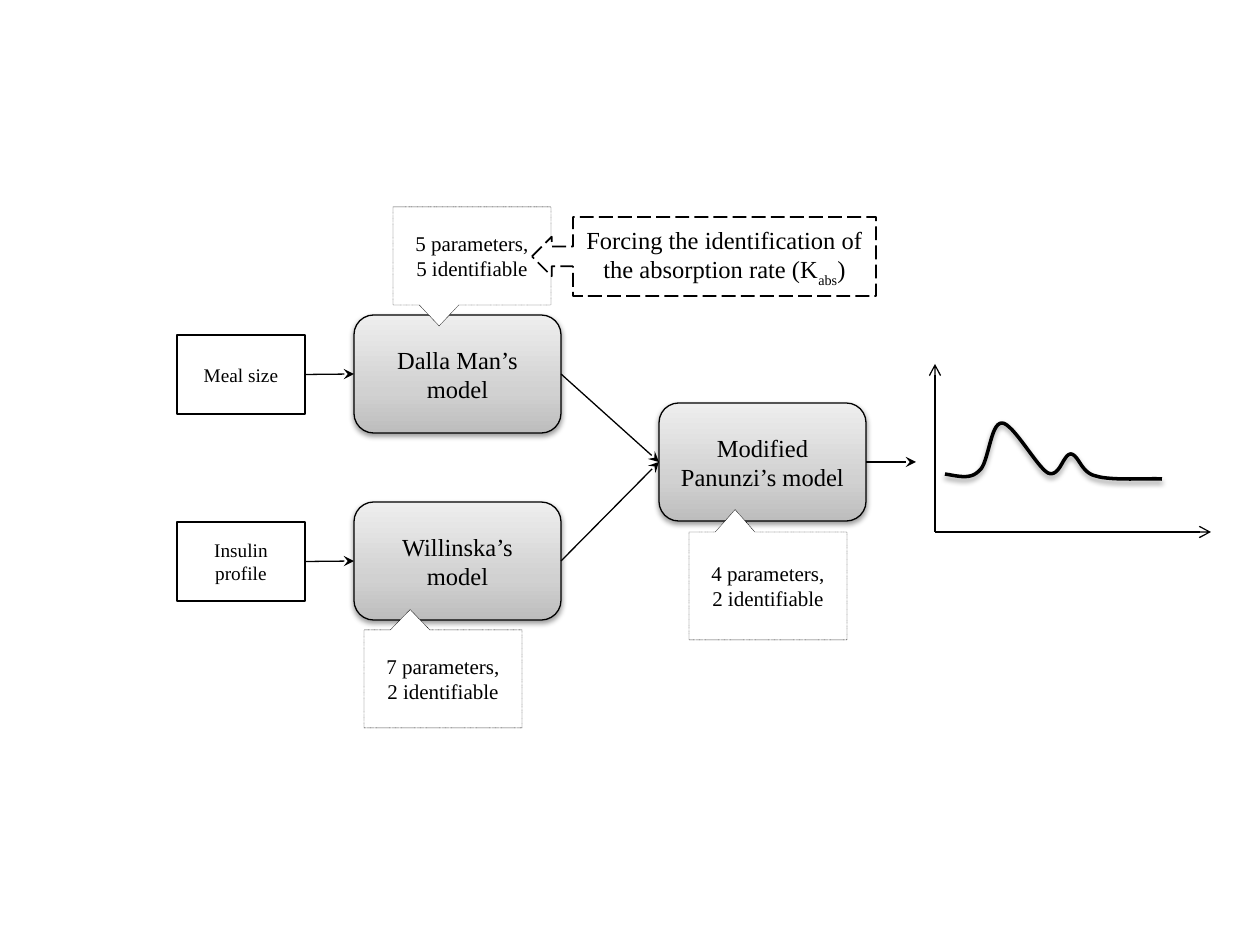
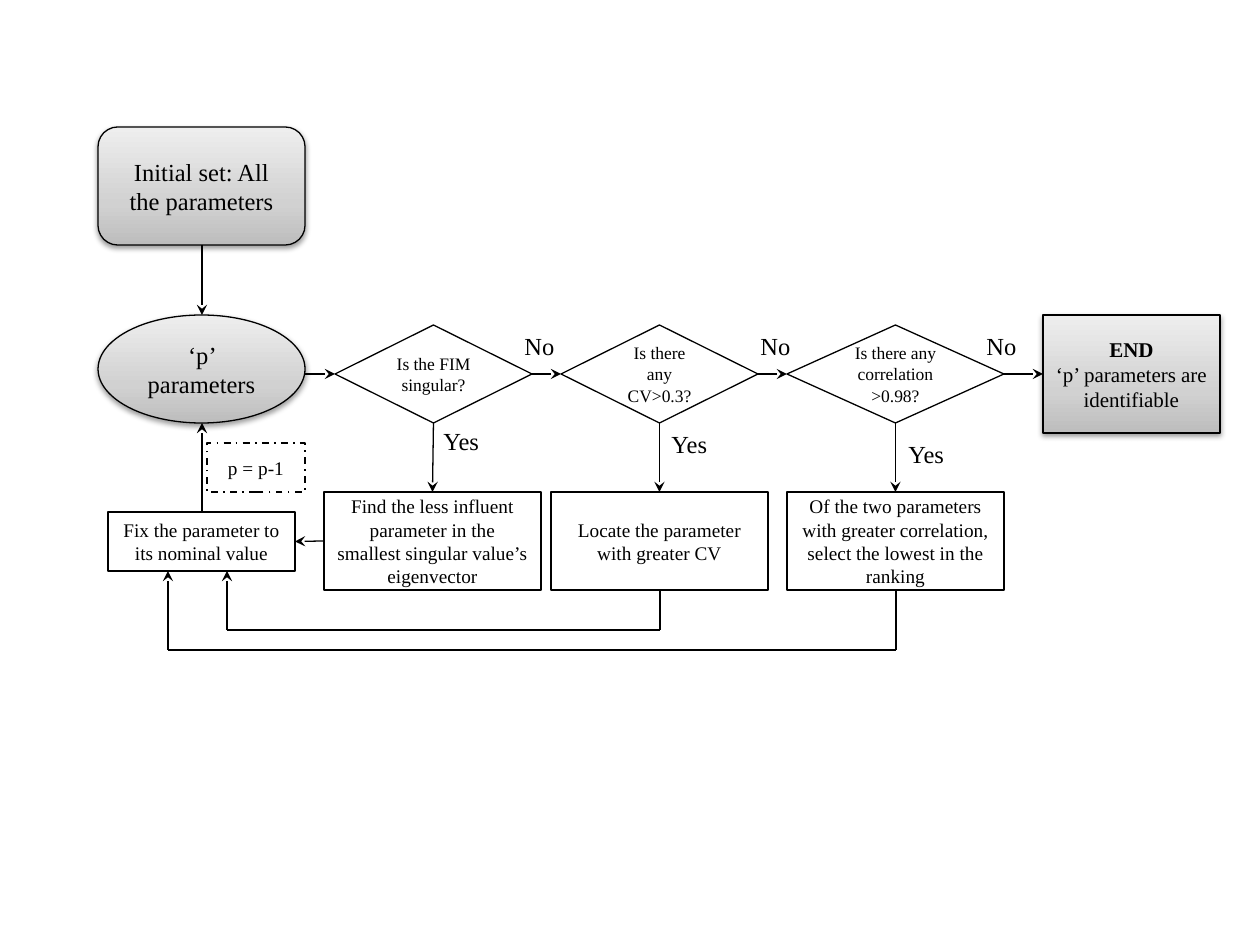
import pptx
import pptx.util
import pptx.dml.color
import pptx.enum.dml
import pptx.enum.shapes
import pptx.enum.text
import pptx.oxml.ns
from dataclasses import dataclass
from itertools import pairwise
from lxml import etree

SHAPE = pptx.enum.shapes.MSO_SHAPE
DASH = pptx.enum.dml.MSO_LINE
ALIGN = pptx.enum.text.PP_ALIGN
qn = pptx.oxml.ns.qn
PX_PER_INCH = 126
TOP, LEFT, BOTTOM, RIGHT = range(4)  # connection sites


@dataclass(frozen=True)
class Theme:
    """Colours, type sizes and line widths of both slides."""
    font: str = "Times New Roman"
    ink: str = "000000"
    paper: str = "FFFFFF"
    gradient: tuple = ((0, "BDBDBD"), (35, "D1D1D1"), (100, "EEEEEE"))
    large: int = 14
    medium: int = 12
    small: int = 11
    tiny: int = 10
    line: float = 0.75
    hairline: float = 0.25
    dashed: float = 1
    curve: float = 2


T = Theme()

# kind: preset shape, text size, shaded, line width, dash
KINDS = {
    "model": (SHAPE.ROUNDED_RECTANGLE, T.large, True, T.line, None),
    "state": (SHAPE.OVAL, T.large, True, T.line, None),
    "end": (SHAPE.RECTANGLE, T.medium, True, T.line, None),
    "step": (SHAPE.RECTANGLE, T.small, False, T.line, None),
    "test": (SHAPE.FLOWCHART_DECISION, T.tiny, False, T.line, None),
    "count": (SHAPE.RECTANGULAR_CALLOUT, T.medium, False, T.hairline, DASH.ROUND_DOT),
    "force": (SHAPE.LEFT_ARROW_CALLOUT, T.large, False, T.dashed, DASH.LONG_DASH),
    "update": (SHAPE.RECTANGLE, T.small, False, T.dashed, DASH.DASH_DOT),
}

# name: kind, (left, top, width, height), paragraphs
MODELS = {
    "meal": ("step", (177, 335, 128, 79), ["Meal size"]),
    "insulin": ("step", (177, 522, 128, 79), ["Insulin profile"]),
    "meal model": ("model", (354, 315, 207, 118), ["Dalla Man’s model"]),
    "insulin model": ("model", (354, 502, 207, 118), ["Willinska’s model"]),
    "glucose model": ("model", (659, 403, 207, 118), ["Modified Panunzi’s model"]),
}
MODEL_LINKS = [
    ("meal", RIGHT, "meal model", LEFT),
    ("insulin", RIGHT, "insulin model", LEFT),
    ("meal model", RIGHT, "glucose model", LEFT),
    ("insulin model", RIGHT, "glucose model", LEFT),
]
# kind, box, paragraphs, adjustments
CALLOUTS = [
    ("count", (393, 207, 158, 98), ["5 parameters,", "5 identifiable"], (-0.208, 0.714)),
    ("count", (364, 630, 158, 98), ["7 parameters,", "2 identifiable"], (-0.208, -0.708)),
    ("count", (689, 532, 158, 108), ["4 parameters,", "2 identifiable"], (-0.208, -0.708)),
    ("force", (532, 217, 344, 79),
     [[("Forcing the identification of the absorption rate (K", ""),
       ("abs", "sub"), (")", "")]], (0.25, 0.25, 0.25, 0.881)),
]
OUTPUT_ARROW = [(866, 462), (916, 462)]
AXES = [[(935, 532), (1211, 532)], [(935, 532), (935, 364)]]
GLUCOSE_START = (945, 474)
GLUCOSE_CURVE = [  # two control points and an end point each
    ((958, 476), (970, 480), (979, 471)),
    ((989, 464), (990, 423), (1002, 423)),
    ((1013, 423), (1037, 467), (1048, 473)),
    ((1060, 478), (1063, 454), (1071, 454)),
    ((1079, 455), (1081, 473), (1096, 476)),
    ((1111, 481), (1150, 478), (1162, 479)),
]

FLOW = {
    "initial": ("model", (98, 127, 207, 118), ["Initial set: All the parameters"]),
    "current": ("state", (98, 315, 207, 108), ["‘p’ parameters"]),
    "singular": ("test", (335, 325, 197, 98), ["Is the FIM singular?"]),
    "variation": ("test", (561, 325, 197, 98), ["Is there any CV>0.3?"]),
    "correlated": ("test", (787, 325, 217, 98), ["Is there any correlation>0.98?"]),
    "end": ("end", (1043, 315, 177, 118),
            [[("END", "bold")], "‘p’ parameters are identifiable"]),
    "find": ("step", (324, 492, 217, 98),
             ["Find the less influent parameter in the smallest singular value’s eigenvector"]),
    "locate": ("step", (551, 492, 217, 98), ["Locate the parameter with greater CV"]),
    "select": ("step", (787, 492, 217, 98),
               ["Of the two parameters with greater correlation, select the lowest in the ranking"]),
    "fix": ("step", (108, 512, 187, 59), ["Fix the parameter to its nominal value"]),
    "update": ("update", (207, 443, 98, 49), ["p = p-1"]),
}
FLOW_LINKS = [
    ("singular", RIGHT, "variation", LEFT),
    ("variation", RIGHT, "correlated", LEFT),
    ("correlated", RIGHT, "end", LEFT),
    ("singular", BOTTOM, "find", TOP),
    ("variation", BOTTOM, "locate", TOP),
    ("correlated", BOTTOM, "select", TOP),
    ("find", LEFT, "fix", RIGHT),
]
FLOW_ROUTES = [
    [(202, 245), (202, 315)],
    [(305, 374), (335, 374)],
    [(202, 512), (202, 423)],
    [(660, 590), (660, 630), (227, 630), (227, 571)],
    [(896, 590), (896, 650), (168, 650), (168, 571)],
]
ANSWERS = [
    ("No", (512, 325, 55, 43)), ("No", (748, 325, 55, 43)), ("No", (974, 325, 55, 43)),
    ("Yes", (431, 420, 62, 43)), ("Yes", (659, 423, 62, 43)), ("Yes", (896, 433, 62, 43)),
]


def px(*values):
    """Turn pixels into a list of EMU lengths."""
    return [pptx.util.Emu(round(v * 914400 / PX_PER_INCH)) for v in values]


def rgb(value):
    """Return a colour object for a hex string."""
    return pptx.dml.color.RGBColor.from_string(value)


def add_colour(parent, value):
    """Add an RGB colour element and return it."""
    return etree.SubElement(parent, qn("a:srgbClr"), val=value)


def style_line(sp, width, dash=None):
    """Draw the outline in ink."""
    sp.line.color.rgb = rgb(T.ink)
    sp.line.width = pptx.util.Pt(width)
    if dash:
        sp.line.dash_style = dash


def add_shadow(sp):
    """Give a shape the soft shadow below it."""
    effects = sp._element.spPr.find(qn("a:effectLst"))
    shadow = etree.SubElement(effects, qn("a:outerShdw"), blurRad="40000",
                              dist="20000", dir="5400000", rotWithShape="0")
    etree.SubElement(add_colour(shadow, T.ink), qn("a:alpha"), val="38000")


def fill_gradient(sp):
    """Fill a shape with the grey gradient, lightest at the top."""
    sp.fill.gradient()
    sp.fill.gradient_angle = 90
    stops = sp._element.spPr.find(".//" + qn("a:gsLst"))
    for stop in list(stops):
        stops.remove(stop)
    for position, value in T.gradient:
        add_colour(etree.SubElement(stops, qn("a:gs"), pos=str(position * 1000)), value)


def write(tf, paragraphs, size, align):
    """Write paragraphs, each a string or a list of (text, style) runs."""
    for i, content in enumerate(paragraphs):
        p = tf.add_paragraph() if i else tf.paragraphs[0]
        p.alignment = align
        for text, style in [(content, "")] if isinstance(content, str) else content:
            r = p.add_run()
            r.text = text
            r.font.name = T.font
            r.font.size = pptx.util.Pt(size)
            r.font.color.rgb = rgb(T.ink)
            if style == "bold":
                r.font.bold = True
            elif style == "sub":
                r._r.get_or_add_rPr().set("baseline", "-25000")


def add_node(s, kind, box, paragraphs, adjustments=()):
    """Add a preset shape of the given kind with its text."""
    preset, size, shaded, width, dash = KINDS[kind]
    sp = s.shapes.add_shape(preset, *px(*box))
    for i, value in enumerate(adjustments):
        sp.adjustments[i] = value
    sp.shadow.inherit = False
    if shaded:
        fill_gradient(sp)
        add_shadow(sp)
    else:
        sp.fill.solid()
        sp.fill.fore_color.rgb = rgb(T.paper)
    style_line(sp, width, dash)
    sp.text_frame.word_wrap = True
    sp.text_frame.vertical_anchor = pptx.enum.text.MSO_ANCHOR.MIDDLE
    write(sp.text_frame, paragraphs, size, ALIGN.CENTER)
    return sp


def add_line(s, start, end, arrow=None):
    """Add a straight connector, with an arrowhead at its end if named."""
    line = s.shapes.add_connector(pptx.enum.shapes.MSO_CONNECTOR.STRAIGHT,
                                  *px(*start, *end))
    style_line(line, T.line)
    spPr = line._element.spPr
    if arrow:
        etree.SubElement(spPr.find(qn("a:ln")), qn("a:tailEnd"), type=arrow)
    etree.SubElement(spPr, qn("a:effectLst"))
    return line


def add_route(s, points, arrow="stealth"):
    """Join points by lines, with an arrowhead on the last one."""
    legs = list(pairwise(points))
    for i, (start, end) in enumerate(legs, 1):
        add_line(s, start, end, arrow if i == len(legs) else None)


def add_diagram(s, nodes, links):
    """Add named nodes and the arrows glued between them."""
    shapes = {name: add_node(s, *node) for name, node in nodes.items()}
    for source, source_site, target, target_site in links:
        line = add_line(s, (0, 0), (0, 0), "stealth")
        line.begin_connect(shapes[source], source_site)
        line.end_connect(shapes[target], target_site)


def bezier(a, b, c, d, steps=16):
    """Return points along a cubic curve, without its start."""
    return [tuple((1 - t) ** 3 * i + 3 * (1 - t) ** 2 * t * j
                  + 3 * (1 - t) * t ** 2 * k + t ** 3 * m
                  for i, j, k, m in zip(a, b, c, d))
            for t in (n / steps for n in range(1, steps + 1))]


def add_curve(s, start, segments):
    """Draw a smooth open curve with a shadow."""
    points, here = [], start
    for segment in segments:
        points += bezier(here, *segment)
        here = segment[-1]
    builder = s.shapes.build_freeform(*px(*start))
    builder.add_line_segments([px(*point) for point in points], close=False)
    sp = builder.convert_to_shape()
    sp.fill.background()
    sp.shadow.inherit = False
    style_line(sp, T.curve)
    add_shadow(sp)


def add_label(s, text, box):
    """Add an answer beside an arrow."""
    tf = s.shapes.add_textbox(*px(*box)).text_frame
    tf.word_wrap = False
    tf.auto_size = pptx.enum.text.MSO_AUTO_SIZE.SHAPE_TO_FIT_TEXT
    write(tf, [text], T.large, ALIGN.LEFT)


def build_models(s):
    """Build the chain of models and the resulting curve."""
    add_diagram(s, MODELS, MODEL_LINKS)
    add_route(s, OUTPUT_ARROW)
    for axis in AXES:
        add_route(s, axis, "arrow")
    add_curve(s, GLUCOSE_START, GLUCOSE_CURVE)
    for callout in CALLOUTS:
        add_node(s, *callout)


def build_flow(s):
    """Build the flow chart of parameter selection."""
    add_diagram(s, FLOW, FLOW_LINKS)
    for route in FLOW_ROUTES:
        add_route(s, route)
    for answer in ANSWERS:
        add_label(s, *answer)


prs = pptx.Presentation()
prs.slide_width, prs.slide_height = px(1260, 945)
for build in (build_models, build_flow):
    build(prs.slides.add_slide(prs.slide_layouts[6]))
prs.save("out.pptx")
